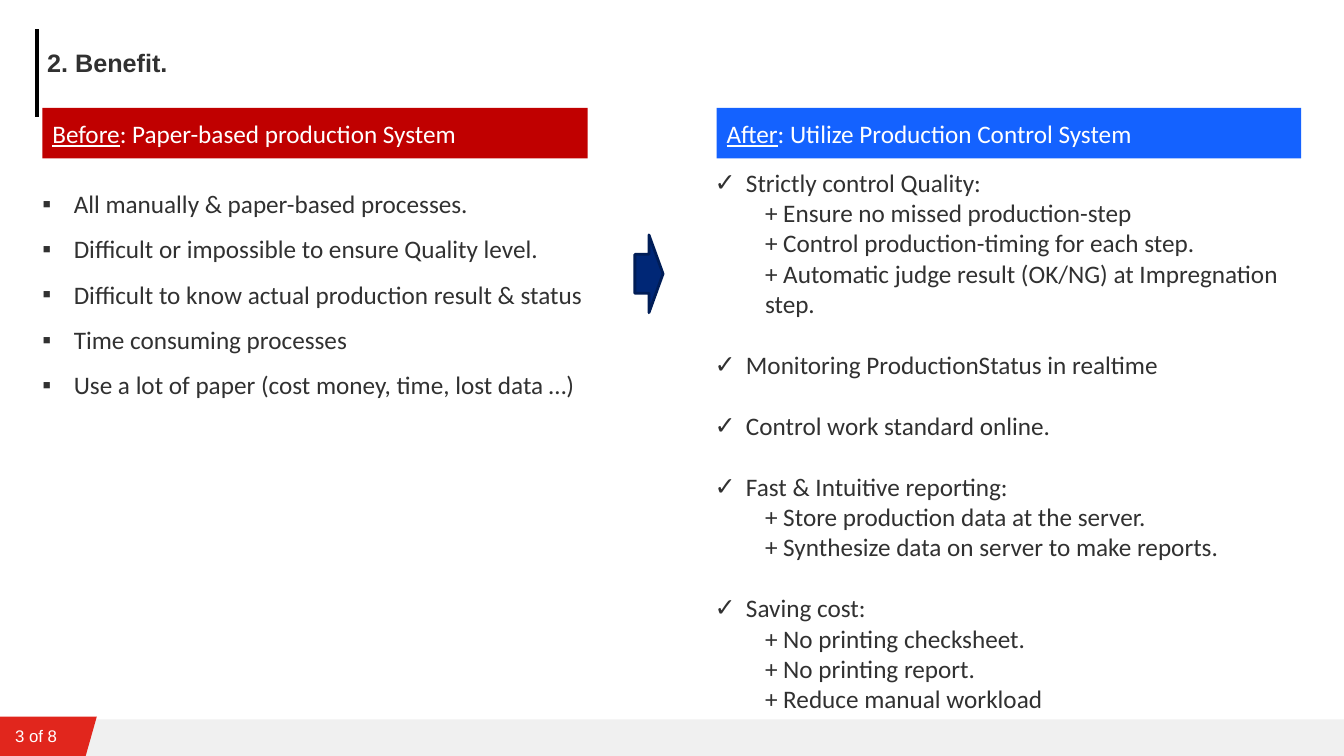
import pptx
import pptx.util
import pptx.dml.color
import pptx.enum.shapes
import pptx.enum.text
import pptx.oxml
import pptx.oxml.ns
import lxml.etree
from dataclasses import dataclass

Cm, Pt = pptx.util.Cm, pptx.util.Pt
SHAPE = pptx.enum.shapes.MSO_SHAPE
ANCHOR = pptx.enum.text.MSO_ANCHOR
qn = pptx.oxml.ns.qn


@dataclass(frozen=True)
class Theme:
    ink: str = "313131"
    white: str = "FFFFFF"
    black: str = "000000"
    before: str = "C00000"
    after: str = "1462FF"
    arrow: str = "002776"
    arrow_edge: str = "001D57"
    tag: str = "E1261D"
    title_font: str = "Arial"
    body_font: str = "Calibri"
    size: int = 18
    small: int = 12
    line: float = 21.97  # height of one body line, in points


T = Theme()
WIDTH, HEIGHT = 33.87, 19.05
HEADER_H = 1.27

BEFORE_ITEMS = [
    "All manually & paper-based processes.",
    "Difficult or impossible to ensure Quality level.",
    "Difficult to know actual production result & status",
    "Time consuming processes",
    "Use a lot of paper (cost money, time, lost data …)",
]
AFTER_ITEMS = [
    ("Strictly control Quality:", [
        "+ Ensure no missed production-step",
        "+ Control production-timing for each step.",
        "+ Automatic judge result (OK/NG) at Impregnation step."]),
    ("Monitoring ProductionStatus in realtime", []),
    ("Control work standard online.", []),
    ("Fast & Intuitive reporting:", [
        "+ Store production data at the server.",
        "+ Synthesize data on server to make reports."]),
    ("Saving cost:", [
        "+ No printing checksheet.",
        "+ No printing report.",
        "+ Reduce manual workload"]),
]


def rgb(value):
    return pptx.dml.color.RGBColor.from_string(value)


def cms(*values):
    return [Cm(v) for v in values]


def set_attrs(obj, values):
    for name, value in values.items():
        setattr(obj, name, value)


def paint(sp, fill, edge=None, width=2):
    sp.shadow.inherit = False
    sp.fill.solid()
    sp.fill.fore_color.rgb = rgb(fill)
    if edge:
        sp.line.color.rgb = rgb(edge)
        sp.line.width = Pt(width)
    else:
        sp.line.fill.background()


def add_run(p, text, color=T.ink, **font):
    r = p.add_run()
    r.text = text
    set_attrs(r.font, {"name": T.body_font, "size": Pt(T.size), **font})
    r.font.color.rgb = rgb(color)


def add_text(s, box):
    tf = s.shapes.add_textbox(*cms(*box)).text_frame
    tf.word_wrap = True
    return tf


def next_paragraph(tf):
    first = tf.paragraphs[0]
    return tf.add_paragraph() if first.runs else first


def indent(p, left, hanging=0, bullet=None):
    pPr = p._p.get_or_add_pPr()
    pPr.set("marL", str(Cm(left)))
    pPr.set("indent", str(-Cm(hanging)))
    if bullet:
        lxml.etree.SubElement(pPr, qn("a:buFont")).set("typeface", T.title_font)
        lxml.etree.SubElement(pPr, qn("a:buChar")).set("char", bullet)


def add_footer(s, box, page):
    x, y, w, h = box
    # Translucent band
    band = s.shapes.add_shape(SHAPE.RECTANGLE, *cms(x, y + 0.07, w, h - 0.07))
    paint(band, T.ink)
    color = band.fill._xPr.find(qn("a:solidFill"))[0]
    lxml.etree.SubElement(color, qn("a:alpha")).set("val", "7000")
    # Slanted page tag
    fb = s.shapes.build_freeform(Cm(x), Cm(y))
    fb.add_line_segments([cms(x + 2.44, y), cms(x + 2.16, y + h), cms(x, y + h)])
    paint(fb.convert_to_shape(), T.tag)
    tf = add_text(s, (x + 0.13, y + 0.1, 4.6, 0.77))
    add_run(tf.paragraphs[0], page, T.white, name=T.title_font, size=Pt(T.small))


def add_title(s, box, text):
    x, y, w, h = box
    bar = s.shapes.add_connector(pptx.enum.shapes.MSO_CONNECTOR.STRAIGHT,
                                 *cms(x, y, x, y + h))
    bar.line.color.rgb = rgb(T.black)
    bar.line.width = Pt(3)
    lxml.etree.SubElement(bar._element.spPr, qn("a:effectLst"))
    tf = add_text(s, (x, y + 0.33, w, h - 0.33))
    add_run(tf.paragraphs[0], text, name=T.title_font, bold=True)


def add_header(s, box, label, rest, color):
    sp = s.shapes.add_shape(SHAPE.RECTANGLE, *cms(*box))
    paint(sp, color)
    tf = sp.text_frame
    set_attrs(tf, {"vertical_anchor": ANCHOR.MIDDLE, "word_wrap": True})
    p = tf.paragraphs[0]
    p.alignment = pptx.enum.text.PP_ALIGN.LEFT
    add_run(p, label, T.white, underline=True)
    add_run(p, rest, T.white)


def add_before(s, box):
    x, y, w, h = box
    add_header(s, (x, y, w, HEADER_H), "Before", ": Paper-based production System", T.before)
    tf = add_text(s, (x - 0.25, y + 1.52, w + 0.56, h - 1.52))
    for item in BEFORE_ITEMS:
        p = next_paragraph(tf)
        p.line_spacing = 1.5
        indent(p, 0.79, 0.79, "▪")
        add_run(p, item)


def add_after(s, box):
    x, y, w, h = box
    add_header(s, (x, y, w, HEADER_H), "After", ": Utilize Production Control System", T.after)
    tf = add_text(s, (x - 0.3, y + 1.37, w + 0.56, h - 1.37))
    for i, (heading, details) in enumerate(AFTER_ITEMS):
        p = next_paragraph(tf)
        p.space_before = Pt(T.line if i else 0)
        indent(p, 0.79, 0.79, "✓")
        add_run(p, heading)
        for detail in details:
            p = next_paragraph(tf)
            p.level = 1
            indent(p, 1.27)
            add_run(p, detail)


def add_arrow(s, box):
    paint(s.shapes.add_shape(SHAPE.RIGHT_ARROW, *cms(*box)), T.arrow, T.arrow_edge)


def main():
    prs = pptx.Presentation()
    set_attrs(prs, {"slide_width": Cm(WIDTH), "slide_height": Cm(HEIGHT)})
    s = prs.slides.add_slide(prs.slide_layouts[6])
    add_footer(s, (0, 18.06, WIDTH, HEIGHT - 18.06), "3 of 8")
    add_title(s, (0.94, 0.74, 30.12, 2.21), "2. Benefit.")
    add_before(s, (1.07, 2.72, 13.74, 8.33))
    add_after(s, (18.06, 2.72, 14.73, 15.47))
    add_arrow(s, (16, 5.92, 0.71, 1.96))
    prs.save("out.pptx")


if __name__ == "__main__":
    main()
